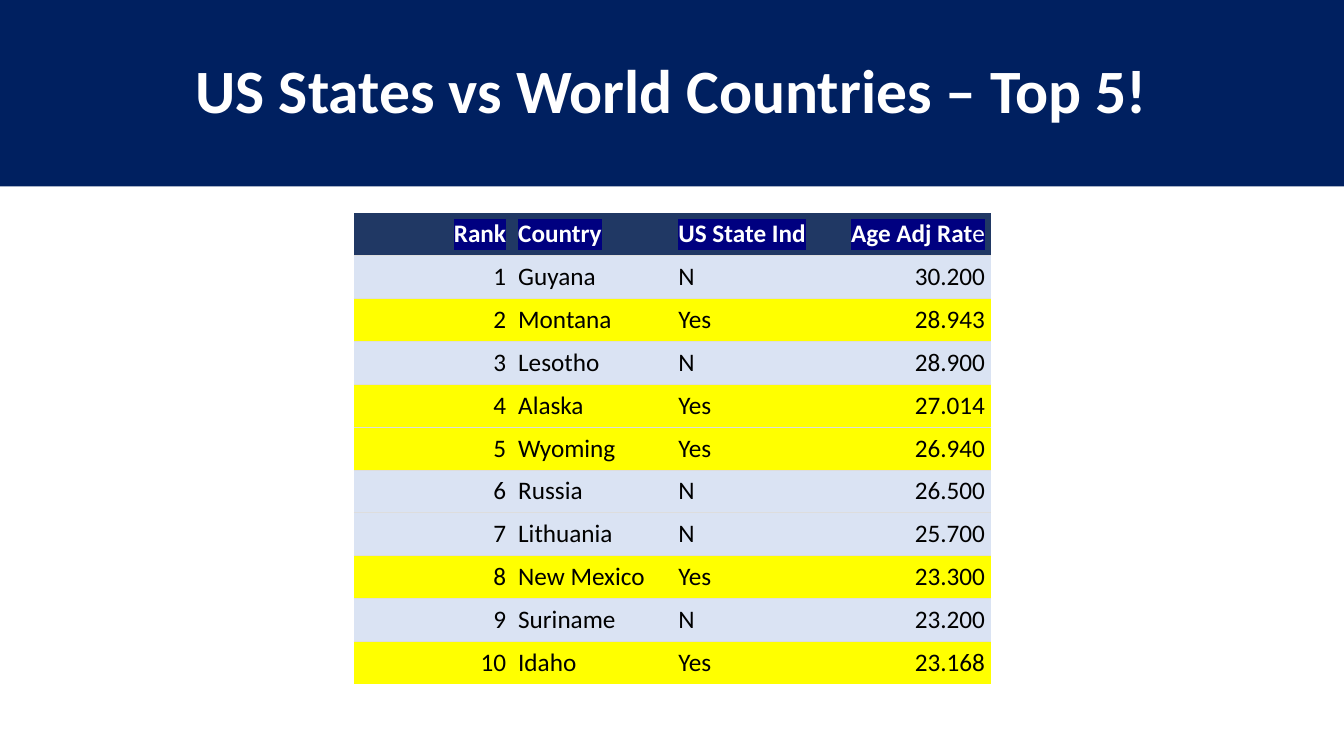
from lxml import etree
from pptx import Presentation
from pptx.dml.color import RGBColor
from pptx.enum.text import MSO_ANCHOR, PP_ALIGN
from pptx.oxml.ns import qn
from pptx.util import Inches, Pt

LEFT, CENTER, RIGHT = PP_ALIGN.LEFT, PP_ALIGN.CENTER, PP_ALIGN.RIGHT
TOP, MIDDLE = MSO_ANCHOR.TOP, MSO_ANCHOR.MIDDLE

COLORS = {
    "banner": "002060",
    "header": "203864",
    "header_mark": "000080",
    "country": "DAE3F3",
    "state": "FFFF00",
    "rule": "DDDDDD",
    "light": "FFFFFF",
    "dark": "000000",
}
COLUMN_WIDTHS = [1.57, 1.59, 1.58, 1.58]
COLUMN_ALIGNS = [RIGHT, LEFT, LEFT, RIGHT]
ROW_HEIGHT = 0.41
HEADER = ["Rank", "Country", "US State Ind", "Age Adj Rate"]
RATES = [
    ("Guyana", "N", "30.200"),
    ("Montana", "Yes", "28.943"),
    ("Lesotho", "N", "28.900"),
    ("Alaska", "Yes", "27.014"),
    ("Wyoming", "Yes", "26.940"),
    ("Russia", "N", "26.500"),
    ("Lithuania", "N", "25.700"),
    ("New Mexico", "Yes", "23.300"),
    ("Suriname", "N", "23.200"),
    ("Idaho", "Yes", "23.168"),
]


class SlideBuilder:
    font = "Calibri"

    def __init__(self, prs):
        self.slide = prs.slides.add_slide(prs.slide_layouts[5])

    def apply(self, target, formats):
        for name, value in formats.items():
            setattr(target, name, value)

    def fill(self, target, color):
        target.fill.solid()
        target.fill.fore_color.rgb = RGBColor.from_string(COLORS[color])

    def run(self, p, text, size, color, bold=False, mark=None):
        r = p.add_run()
        r.text = text
        self.apply(r.font, {"name": self.font, "size": Pt(size), "bold": bold})
        r.font.color.rgb = RGBColor.from_string(COLORS[color])
        if mark:
            highlight = etree.Element(qn("a:highlight"))
            etree.SubElement(highlight, qn("a:srgbClr"), val=COLORS[mark])
            r.font._element.find(qn("a:solidFill")).addnext(highlight)

    def title(self, text, width, height):
        sp = self.slide.shapes.title
        self.apply(sp, {"left": 0, "top": 0, "width": Inches(width), "height": Inches(height)})
        self.fill(sp, "banner")
        tf = sp.text_frame
        self.apply(tf, {"vertical_anchor": MIDDLE, "word_wrap": True})
        p = tf.paragraphs[0]
        self.apply(p, {"alignment": CENTER, "line_spacing": 0.9})
        self.run(p, text, 44, "light", True)

    def borders(self, cell, ruled):
        tc_pr = cell._tc.get_or_add_tcPr()
        for i, side in enumerate(["lnL", "lnR", "lnT", "lnB"]):
            ln = etree.Element(qn(f"a:{side}"), w=str(Pt(0.5)))
            if side in ruled:
                solid = etree.SubElement(ln, qn("a:solidFill"))
                etree.SubElement(solid, qn("a:srgbClr"), val=COLORS["rule"])
            else:
                etree.SubElement(ln, qn("a:noFill"))
            tc_pr.insert(i, ln)

    def cell(self, cell, runs, align, anchor, fill, ruled):
        margins = dict.fromkeys(
            ["margin_left", "margin_right", "margin_top", "margin_bottom"], Inches(0.06))
        self.apply(cell, {"vertical_anchor": anchor, **margins})
        self.fill(cell, fill)
        self.borders(cell, ruled)
        p = cell.text_frame.paragraphs[0]
        p.alignment = align
        for text, formats in runs:
            self.run(p, text, 18, **formats)

    def table(self, left, top, header, rows):
        count = len(rows) + 1
        table = self.slide.shapes.add_table(
            count, len(header), Inches(left), Inches(top),
            Inches(sum(COLUMN_WIDTHS)), Inches(ROW_HEIGHT * count)).table
        self.apply(table, {"first_row": False, "horz_banding": False})
        for column, width in zip(table.columns, COLUMN_WIDTHS):
            column.width = Inches(width)
        for row in table.rows:
            row.height = Inches(ROW_HEIGHT)

        head = {"color": "light", "bold": True, "mark": "header_mark"}
        for i, (text, align) in enumerate(zip(header, COLUMN_ALIGNS)):
            runs = [(text, head)]
            if i == len(header) - 1:
                runs = [(text[:-1], head), (text[-1], {**head, "bold": False})]
            self.cell(table.cell(0, i), runs, align, MIDDLE, "header", ["lnB"])

        for rank, row in enumerate(rows, 1):
            is_state = row[1] == "Yes"
            fill = "state" if is_state else "country"
            body = {"color": "dark", "mark": "state" if is_state else None}
            ruled = ["lnT"] if rank == len(rows) else ["lnT", "lnB"]
            for i, (text, align) in enumerate(zip([str(rank), *row], COLUMN_ALIGNS)):
                self.cell(table.cell(rank, i), [(text, body)], align, TOP, fill, ruled)


def main():
    prs = Presentation()
    prs.slide_width, prs.slide_height = Inches(13.33), Inches(7.5)
    s = SlideBuilder(prs)
    s.title("US States vs World Countries – Top 5!", 13.33, 1.85)
    s.table(3.51, 2.11, HEADER, RATES)
    prs.save("out.pptx")


if __name__ == "__main__":
    main()
